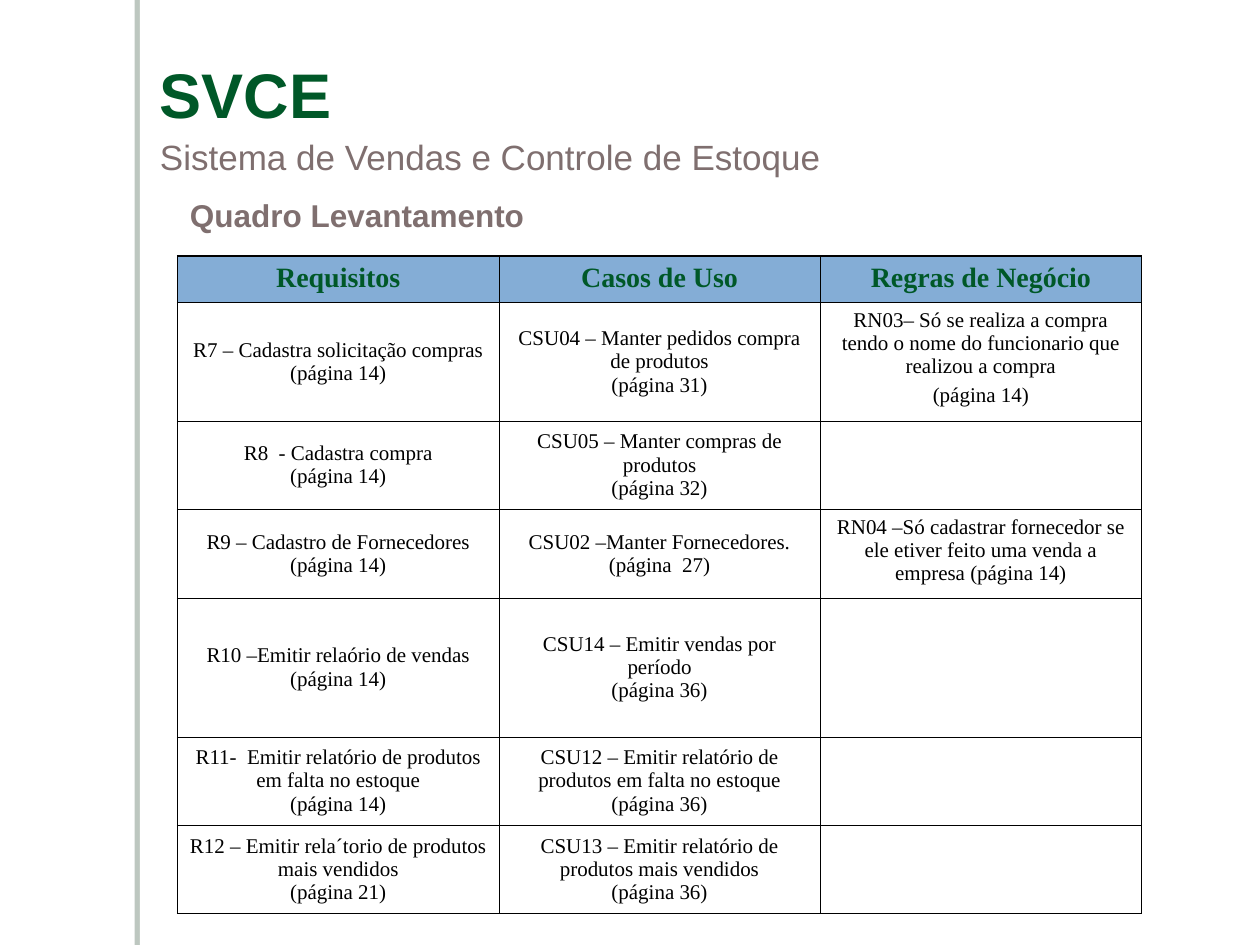
from lxml.etree import SubElement
from pptx import Presentation
from pptx.dml.color import RGBColor
from pptx.enum.shapes import MSO_SHAPE
from pptx.enum.text import MSO_ANCHOR, MSO_AUTO_SIZE, PP_ALIGN
from pptx.oxml import parse_xml
from pptx.oxml.ns import nsdecls, qn
from pptx.util import Pt

GREEN = RGBColor(0x00, 0x58, 0x28)
GREY = RGBColor(0x7F, 0x6F, 0x6F)
BLUE = RGBColor(0x84, 0xAD, 0xD6)
BLACK = RGBColor(0, 0, 0)
WHITE = RGBColor(255, 255, 255)
SHADE = RGBColor(0x00, 0x28, 0x0D)
SANS = "Arial"
SERIF = "Times New Roman"
THICK = Pt(1.08)
THIN = Pt(0.45)
WIDTH = 183.6
HEIGHTS = [26.5, 68, 50.4, 50.6, 79.4, 50.4, 50.6]
HEADS = ["Requisitos", "Casos de Uso", "Regras de Negócio"]
ROWS = [
    (["R7 – Cadastra solicitação compras", "(página 14)"],
     ["CSU04 – Manter pedidos compra de produtos", "(página 31)"],
     ["RN03– Só se realiza a compra tendo o nome do funcionario que realizou a compra",
      "(página 14)"]),
    (["R8  - Cadastra compra", "(página 14)"],
     ["CSU05 – Manter compras de produtos", "(página 32)"],
     []),
    (["R9 – Cadastro de Fornecedores", "(página 14)"],
     ["CSU02 –Manter Fornecedores.", "(página  27)"],
     ["RN04 –Só cadastrar fornecedor se ele etiver feito uma venda a empresa (página 14)"]),
    (["R10 –Emitir relaório de vendas", "(página 14)"],
     ["CSU14 – Emitir vendas por período", "(página 36)"],
     []),
    (["R11-  Emitir relatório de produtos em falta no estoque", "(página 14)"],
     ["CSU12 – Emitir relatório de produtos em falta no estoque", "(página 36)"],
     []),
    (["R12 – Emitir rela´torio de produtos mais vendidos", "(página 21)"],
     ["CSU13 – Emitir relatório de produtos mais vendidos", "(página 36)"],
     []),
]


def add_run(para, text, size, color, face, bold=False):
    run = para.add_run()
    run.text = text
    font = run.font
    font.size = Pt(size)
    font.name = face
    font.bold = bold
    font.color.rgb = color


def add_bar(slide):
    bar = slide.shapes.add_shape(MSO_SHAPE.RECTANGLE, Pt(80), Pt(0), Pt(5.8), Pt(540))
    bar.fill.solid()
    bar.fill.fore_color.rgb = WHITE
    bar.line.fill.background()
    bar.shadow.inherit = False
    glow = SubElement(bar.element.spPr.find(qn("a:effectLst")), qn("a:outerShdw"),
                      dist=str(Pt(3)), dir="10800000", algn="ctr", rotWithShape="0")
    tint = SubElement(glow, qn("a:srgbClr"), val=str(SHADE))
    SubElement(tint, qn("a:alpha"), val="25000")


def set_frame(frame):
    frame.word_wrap = True
    frame.auto_size = MSO_AUTO_SIZE.NONE
    frame.vertical_anchor = MSO_ANCHOR.TOP
    para = frame.paragraphs[0]
    para.alignment = PP_ALIGN.LEFT
    para.line_spacing = 1.1
    return para


def set_title(slide):
    title = slide.shapes.title
    title.left, title.top = Pt(84.2), Pt(23.8)
    title.width, title.height = Pt(594), Pt(98.6)
    para = set_frame(title.text_frame)
    add_run(para, "SVCE", 36, GREEN, SANS, True)
    para.add_line_break()
    add_run(para, "Sistema de Vendas e Controle de Estoque", 20, GREY, SANS)


def add_label(slide):
    box = slide.shapes.add_textbox(Pt(101.5), Pt(106.6), Pt(436.3), Pt(28.8))
    para = set_frame(box.text_frame)
    add_run(para, "Quadro Levantamento", 18, GREY, SANS, True)


def set_edges(cell, row, col):
    rim = [("L", col == 0), ("R", col == len(HEADS) - 1),
           ("T", row == 0), ("B", row == len(ROWS))]
    props = cell._tc.get_or_add_tcPr()
    for spot, (side, outer) in enumerate(rim):
        width = THICK if outer else THIN
        props.insert(spot, parse_xml(
            f'<a:ln{side} {nsdecls("a")} w="{width}"><a:solidFill>'
            f'<a:srgbClr val="{BLACK}"/></a:solidFill></a:ln{side}>'))


def fill_cell(cell, lines, row, col):
    head = row == 0
    mid = not head and col < 2
    cell.vertical_anchor = MSO_ANCHOR.MIDDLE if mid else MSO_ANCHOR.TOP
    cell.margin_left = cell.margin_right = Pt(5.76 if mid else 7.2)
    cell.margin_top = cell.margin_bottom = Pt(3.6)
    if head:
        cell.fill.solid()
        cell.fill.fore_color.rgb = BLUE
    else:
        cell.fill.background()
    set_edges(cell, row, col)
    frame = cell.text_frame
    for spot, line in enumerate(lines):
        para = frame.add_paragraph() if spot else frame.paragraphs[0]
        para.alignment = PP_ALIGN.CENTER
        if spot and not mid:
            para.space_before = Pt(3)
        add_run(para, line, 16 if head else 12, GREEN if head else BLACK, SERIF, head)


def add_grid(slide):
    rows = [[[head] for head in HEADS], *ROWS]
    frame = slide.shapes.add_table(len(rows), len(HEADS), Pt(101.5), Pt(146.2),
                                   Pt(WIDTH * len(HEADS)), Pt(sum(HEIGHTS)))
    table = frame.table
    table.first_row = table.horz_banding = False
    for col in table.columns:
        col.width = Pt(WIDTH)
    for row, cells in enumerate(rows):
        table.rows[row].height = Pt(HEIGHTS[row])
        for col, lines in enumerate(cells):
            fill_cell(table.cell(row, col), lines, row, col)


def main():
    deck = Presentation()
    deck.slide_width, deck.slide_height = Pt(720), Pt(540)
    slide = deck.slides.add_slide(deck.slide_layouts[5])
    add_bar(slide)
    set_title(slide)
    add_label(slide)
    add_grid(slide)
    deck.save("out.pptx")


if __name__ == "__main__":
    main()
